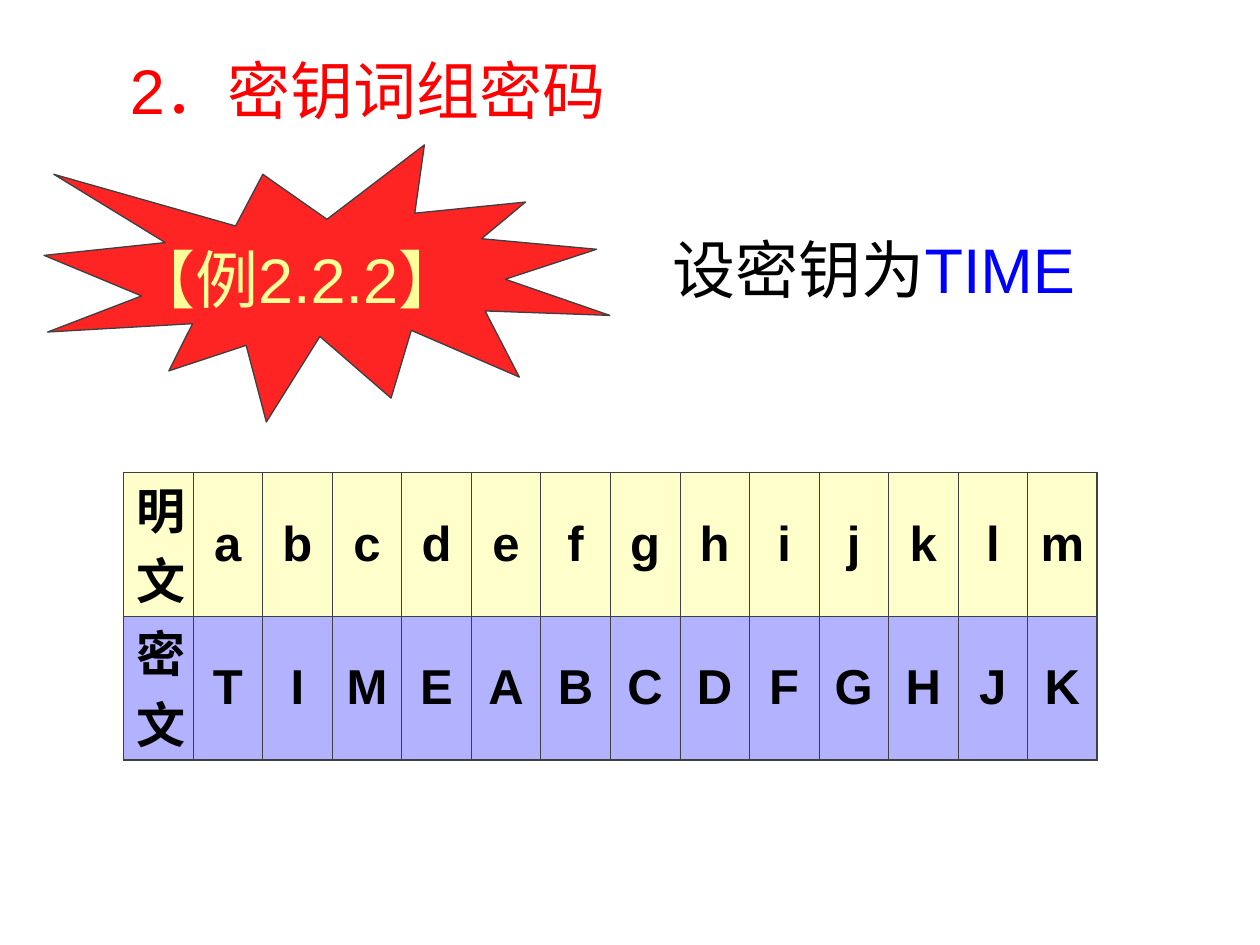
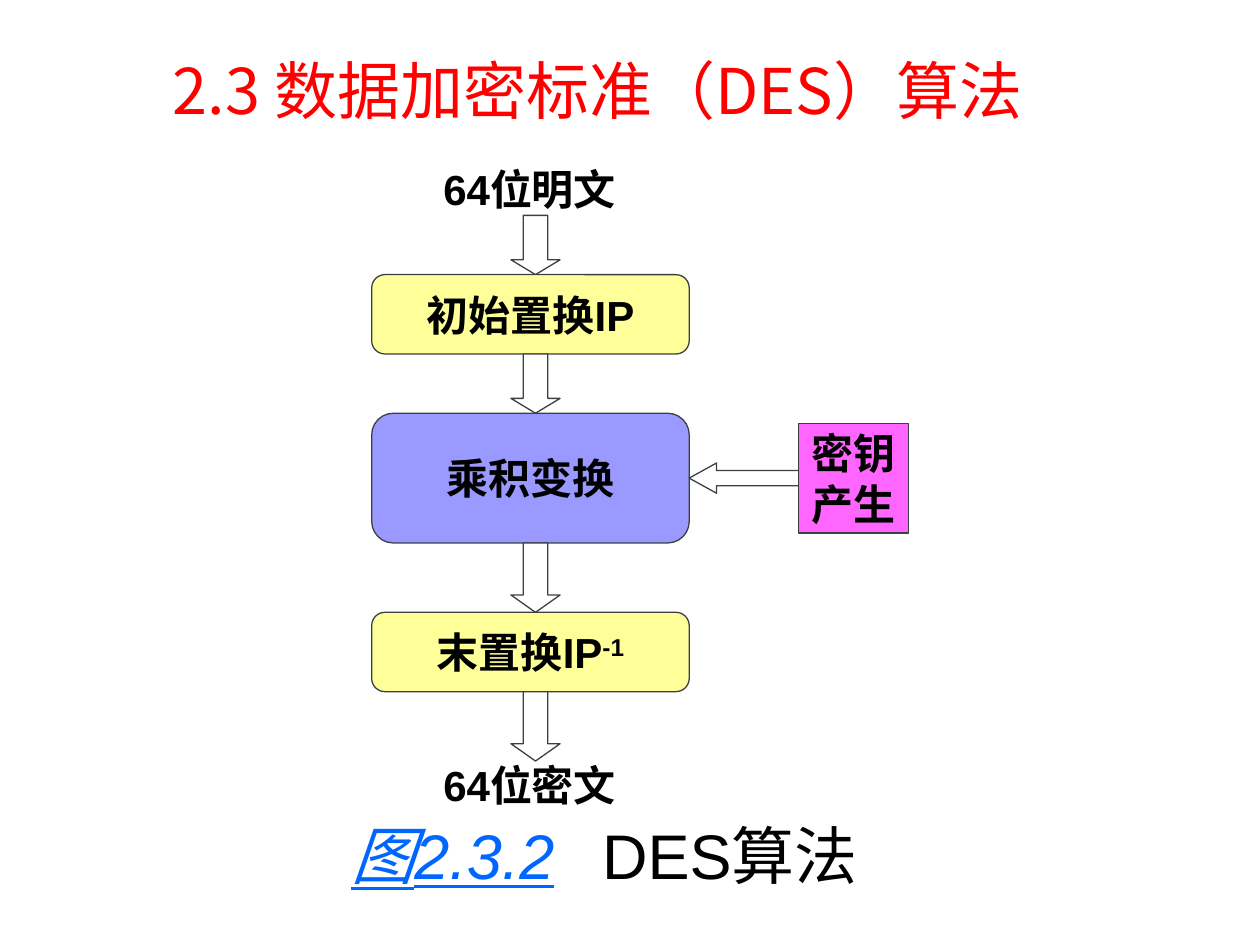
"""Build two slides on keyword ciphers and the DES algorithm."""
from lxml import etree
from pptx import Presentation, util as u
from pptx.dml.color import RGBColor
from pptx.enum import shapes, text
from pptx.oxml.ns import qn

SANS, CJK = "Arial", "Noto Sans CJK SC"
RED, BLACK, OUTLINE = "FF0000", "000000", "3D3F41"
CREAM, VIOLET, PINK, WHITE = "FFFF99", "9999FF", "FF66FF", "FFFFFF"
LARGE = {"size": u.Pt(36), "name": SANS, "color": BLACK}
LABEL = {**LARGE, "size": u.Pt(24), "bold": True}
LETTER = {**LABEL, "size": u.Pt(28)}
LINK = {**LARGE, "color": "0066FF", "italic": True, "underline": True}
LINE_H, TITLE_TOP = 0.7, 0.36

KEYWORD = {
    "title": "2．密钥词组密码",
    "title_span": (0.93, 4.1),
    "example": "【例2.2.2】",
    "key": [("设密钥为", LARGE), ("TIME", {**LARGE, "color": "0000FF"})],
    "rows": [("明文", "abcdefghijklm", CREAM), ("密文", "TIMEABCDFGHJK", "6666FF")],
}
DES = {
    "title": "2.3 数据加密标准（DES）算法",
    "title_span": (1.27, 7.41),
    "ends": [("64位明文", 1.08), ("64位密文", 5.81)],
    "stages": [
        (0.47, 0.63, CREAM, [("初始置换IP", LABEL)]),
        (0.47, 1.03, VIOLET, [("乘积变换", LABEL)]),
        (0.55, 0.63, CREAM, [("末置换IP", LABEL), ("-1", {**LABEL, "baseline": "30000"})]),
    ],
    "last_arrow": 0.55,
    "key": ["密钥", "产生"],
    "caption": [("图2.3.2", LINK), ("\tDES算法", LARGE)],
}
FLOW = {"left": 2.95, "top": 1.71, "width": 2.52, "axis": 4.25}
ARROW_W, KEY_ARROW_W, KEY_SIDE, KEY_GAP = 0.39, 0.24, 0.87, 0.87
GRID = {"left": 0.98, "top": 3.75, "col": 0.552, "row": 1.14}


def rgb(hex_color):
    return RGBColor.from_string(hex_color)


def inches(*lengths):
    return [u.Inches(length) for length in lengths]


def set_alpha(fill_parent, percent):
    color = fill_parent.find(qn("a:solidFill"))[0]
    etree.SubElement(color, qn("a:alpha"), val=str(percent * 1000))


def add_run(paragraph, words, look):
    run = paragraph.add_run()
    run.text = words
    for key, value in look.items():
        if key == "color":
            run.font.color.rgb = rgb(value)
        elif key == "baseline":
            run.font._element.set(key, value)
        else:
            setattr(run.font, key, value)
    etree.SubElement(run.font._element, qn("a:ea"), typeface=CJK)


def write(frame, lines, align=text.PP_ALIGN.LEFT):
    settings = {"word_wrap": False, "auto_size": text.MSO_AUTO_SIZE.NONE,
                "vertical_anchor": text.MSO_ANCHOR.MIDDLE}
    for key, value in settings.items():
        setattr(frame, key, value)
    for index, runs in enumerate(lines):
        paragraph = frame.add_paragraph() if index else frame.paragraphs[0]
        paragraph.alignment = align
        for words, look in runs:
            add_run(paragraph, words, look)


def add_label(slide, left, top, width, runs):
    box = slide.shapes.add_textbox(*inches(left, top, width, LINE_H))
    write(box.text_frame, [runs])
    return box


def add_block(slide, kind, place, fill, lines=()):
    block = slide.shapes.add_shape(kind, *inches(*place))
    block.shadow.inherit = False
    block.fill.solid()
    block.fill.fore_color.rgb = rgb(fill)
    block.line.color.rgb = rgb(OUTLINE)
    block.line.width = u.Pt(0.75)
    write(block.text_frame, lines, text.PP_ALIGN.CENTER)
    return block


def add_arrow(slide, kind, place):
    arrow = add_block(slide, kind, place, WHITE)
    arrow.adjustments[1] = max(place[2:]) / 4 / min(place[2:])


def add_titled_slide(deck, content, font):
    slide = deck.slides.add_slide(deck.slide_layouts[5])
    title = slide.shapes.title
    left, width = content["title_span"]
    title.left, title.top, title.width, title.height = inches(left, TITLE_TOP, width, LINE_H)
    write(title.text_frame, [[(content["title"], {**LARGE, "name": font, "color": RED})]])
    return slide


def add_border(cell, side, points):
    line = etree.SubElement(cell._tc.get_or_add_tcPr(), qn(f"a:ln{side}"), w=str(u.Pt(points)))
    fill = etree.SubElement(line, qn("a:solidFill"))
    etree.SubElement(fill, qn("a:srgbClr"), val=OUTLINE)


def add_cipher_table(slide, rows):
    last_row, last_col = len(rows) - 1, len(rows[0][1])
    size = GRID["col"] * (last_col + 1), GRID["row"] * len(rows)
    table = slide.shapes.add_table(len(rows), last_col + 1,
                                   *inches(GRID["left"], GRID["top"], *size)).table
    table.first_row = table.horz_banding = False
    for column in table.columns:
        column.width = u.Inches(GRID["col"])
    for r, (heading, letters, fill) in enumerate(rows):
        table.rows[r].height = u.Inches(GRID["row"])
        for c, words in enumerate([heading, *letters]):
            cell = table.cell(r, c)
            cell.margin_top = cell.margin_bottom = 0
            cell.vertical_anchor = text.MSO_ANCHOR.MIDDLE if c else text.MSO_ANCHOR.TOP
            paragraph = cell.text_frame.paragraphs[0]
            paragraph.alignment = text.PP_ALIGN.CENTER if c else text.PP_ALIGN.LEFT
            add_run(paragraph, words, LETTER)
            outer = {"L": c == 0, "R": c == last_col, "T": r == 0, "B": r == last_row}
            for side, is_outer in outer.items():
                add_border(cell, side, 1.08 if is_outer else 0.45)
            cell.fill.solid()
            cell.fill.fore_color.rgb = rgb(fill)
            set_alpha(cell._tc.tcPr, 50)


def build_keyword(deck):
    slide = add_titled_slide(deck, KEYWORD, SANS)
    add_label(slide, 5.24, 1.78, 3.64, KEYWORD["key"])
    burst = add_block(slide, shapes.MSO_SHAPE.EXPLOSION1, (0.35, 1.15, 4.49, 2.2), RED)
    set_alpha(burst._element.spPr, 86)
    add_label(slide, 0.95, 1.86, 3.18, [(KEYWORD["example"], {**LARGE, "color": CREAM})])
    add_cipher_table(slide, KEYWORD["rows"])


def build_des(deck):
    slide = add_titled_slide(deck, DES, CJK)
    kinds = shapes.MSO_SHAPE
    arrow_left, top = FLOW["axis"] - ARROW_W / 2, FLOW["top"]
    for words, label_top in DES["ends"]:
        add_label(slide, 3.42, label_top, 1.76, [(words, LABEL), (" ", LARGE)])
    middles = []
    for gap, height, fill, runs in DES["stages"]:
        add_arrow(slide, kinds.DOWN_ARROW, (arrow_left, top, ARROW_W, gap))
        top += gap
        add_block(slide, kinds.FLOWCHART_ALTERNATE_PROCESS,
                  (FLOW["left"], top, FLOW["width"], height), fill, [runs])
        middles.append(top + height / 2)
        top += height
    add_arrow(slide, kinds.DOWN_ARROW, (arrow_left, top, ARROW_W, DES["last_arrow"]))

    right, middle = FLOW["left"] + FLOW["width"], middles[1]
    add_arrow(slide, kinds.LEFT_ARROW, (right, middle - KEY_ARROW_W / 2, KEY_GAP, KEY_ARROW_W))
    add_block(slide, kinds.RECTANGLE,
              (right + KEY_GAP, middle - KEY_SIDE / 2, KEY_SIDE, KEY_SIDE), PINK,
              [[(words, LABEL)] for words in DES["key"]])

    caption = add_label(slide, 2.69, 6.43, 4.47, DES["caption"])
    properties = caption.text_frame.paragraphs[0]._p.get_or_add_pPr()
    stops = etree.SubElement(properties, qn("a:tabLst"))
    etree.SubElement(stops, qn("a:tab"), pos=str(u.Inches(1.99)), algn="l")


def main():
    deck = Presentation()
    deck.slide_width, deck.slide_height = inches(10, 7.5)
    build_keyword(deck)
    build_des(deck)
    deck.save("out.pptx")


if __name__ == "__main__":
    main()
